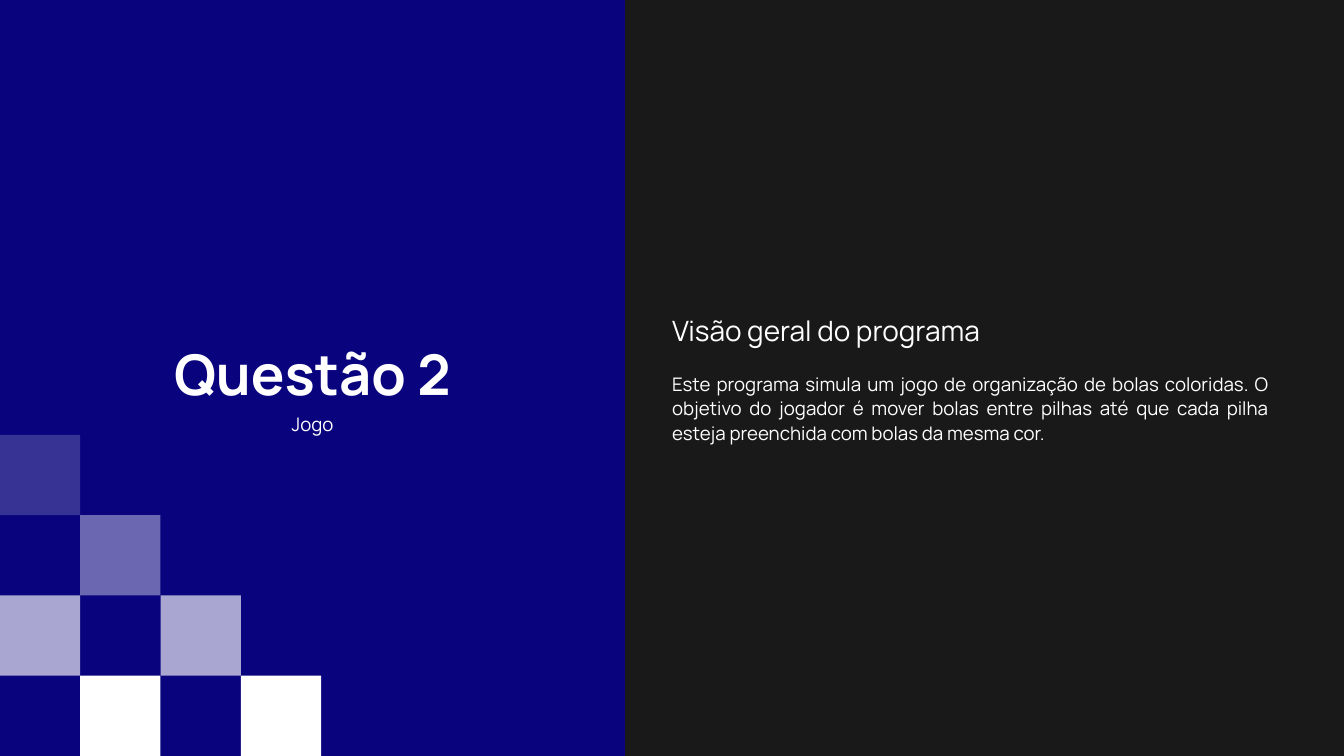
from typing import NamedTuple

from lxml import etree
from pptx import Presentation
from pptx import util as u
from pptx.dml.color import RGBColor
from pptx.enum import shapes, text
from pptx.oxml import ns

WHITE = RGBColor(0xFF, 0xFF, 0xFF)
BLUE = RGBColor(0x09, 0x04, 0x7D)
DARK = RGBColor(0x19, 0x19, 0x19)
FONT = "Manrope"
WIDE, HIGH = 1440, 810
SIDE = 86
ROWS = 4


class Box(NamedTuple):
    left: float
    top: float
    width: float
    height: float


class Tile(NamedTuple):
    col: int
    row: int
    alpha: int


TILES = [
    Tile(0, 0, 19),
    Tile(1, 1, 40),
    Tile(0, 2, 65),
    Tile(2, 2, 65),
    Tile(1, 3, 100),
    Tile(3, 3, 100),
]


def draw_rect(slide, box: Box, color: RGBColor, alpha: int = 100) -> None:
    rect = slide.shapes.add_shape(
        shapes.MSO_SHAPE.RECTANGLE, *(u.Pt(side) for side in box)
    )
    rect.shadow.inherit = False
    rect.line.fill.background()
    rect.fill.solid()
    rect.fill.fore_color.rgb = color
    if alpha < 100:
        tint = rect.element.spPr.find(ns.qn("a:solidFill"))[0]
        etree.SubElement(tint, ns.qn("a:alpha"), val=str(alpha * 1000))


def draw_tile(slide, tile: Tile) -> None:
    top = HIGH - (ROWS - tile.row) * SIDE
    draw_rect(slide, Box(tile.col * SIDE, top, SIDE, SIDE), WHITE, tile.alpha)


def add_frame(slide, box: Box):
    frame = slide.shapes.add_textbox(*(u.Pt(side) for side in box)).text_frame
    frame.word_wrap = True
    frame.margin_left = frame.margin_right = 0
    frame.margin_top = frame.margin_bottom = 0
    return frame


def write(par, words: str, *, size: float, line: float, align,
          bold: bool = False, before: float = 0) -> None:
    par.alignment = align
    par.line_spacing = u.Pt(line)
    par.space_before = u.Pt(before)
    run = par.add_run()
    run.text = words
    run.font.name = FONT
    run.font.size = u.Pt(size)
    run.font.bold = bold
    run.font.color.rgb = WHITE


def main() -> None:
    deck = Presentation()
    deck.slide_width, deck.slide_height = u.Pt(WIDE), u.Pt(HIGH)
    slide = deck.slides.add_slide(deck.slide_layouts[6])
    slide.background.fill.solid()
    slide.background.fill.fore_color.rgb = DARK

    draw_rect(slide, Box(0, 0, 669.6, HIGH), BLUE)
    for tile in TILES:
        draw_tile(slide, tile)

    mid, just = text.PP_ALIGN.CENTER, text.PP_ALIGN.JUSTIFY
    title = add_frame(slide, Box(120, 363.6, 429.4, 77))
    write(title.paragraphs[0], "Questão 2", size=60, line=72, align=mid, bold=True)

    body = add_frame(slide, Box(720, 332.6, 639.4, 142))
    write(body.paragraphs[0], "Visão geral do programa", size=30, line=39, align=just)
    write(
        body.add_paragraph(),
        "Este programa simula um jogo de organização de bolas coloridas. "
        "O objetivo do jogador é mover bolas entre pilhas até que cada pilha "
        "esteja preenchida com bolas da mesma cor.",
        size=20, line=26, align=just, before=26,
    )

    label = add_frame(slide, Box(195, 440, 280, 27.4))
    write(label.paragraphs[0], "Jogo", size=20, line=26, align=mid)

    deck.save("out.pptx")


if __name__ == "__main__":
    main()
